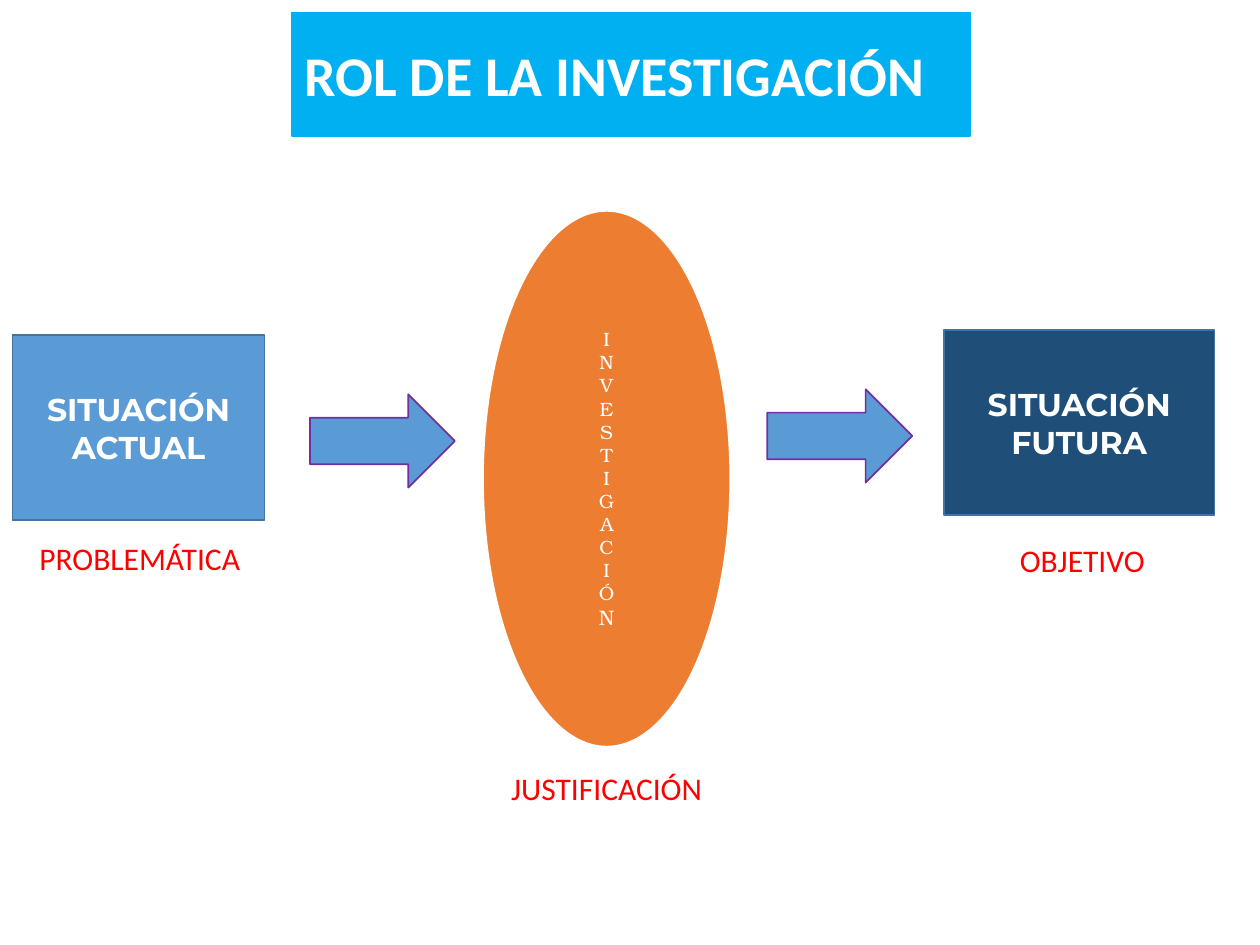
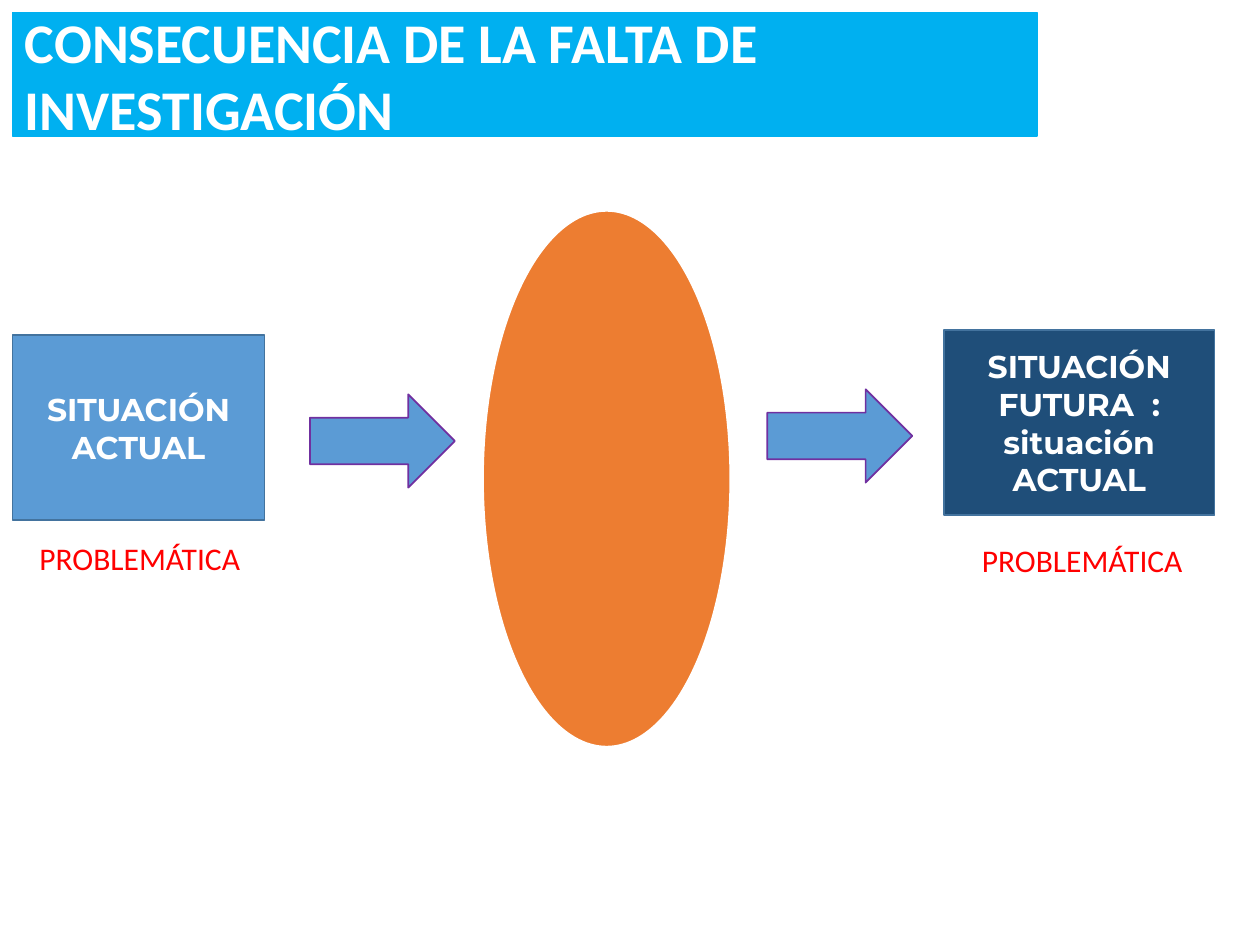
"""Build two slides on the role of research and the cost of its absence."""
from pptx import Presentation
from pptx.dml.color import RGBColor
from pptx.enum.shapes import MSO_SHAPE
from pptx.enum.text import MSO_ANCHOR, PP_ALIGN
from pptx.util import Inches, Pt

HUES = {
    "white": "FFFFFF", "band": "00B0F0", "now": "5B9BD5", "next": "1F4E79",
    "edge": "43739E", "oval": "ED7D31", "arrow": "7030A0", "label": "FF0000",
}

SLIDES = [
    {
        "title": ("ROL DE LA INVESTIGACIÓN", 2.32, 5.38),
        "oval": [("INVESTIGACIÓ", 11), ("N", 12)],
        "future": "SITUACIÓN FUTURA",
        "labels": ["PROBLEMÁTICA", "OBJETIVO", "JUSTIFICACIÓN"],
    },
    {
        "title": ("CONSECUENCIA DE LA FALTA DE INVESTIGACIÓN", 0.1, 8.13),
        "oval": [],
        "future": "SITUACIÓN FUTURA  : situación ACTUAL",
        "labels": ["PROBLEMÁTICA", "PROBLEMÁTICA"],
    },
]

SPOTS = [(0.1, 4.23, 2.02), (7.53, 4.25, 2.12), (3.4, 6.06, 2.83)]
ARROWS = [(2.46, 3.13), (6.09, 3.09)]


def hue(name):
    return RGBColor.from_string(HUES[name])


def draw(slide, kind, place, fill, line, width=1):
    shape = slide.shapes.add_shape(kind, *map(Inches, place))
    shape.shadow.inherit = False
    shape.fill.solid()
    shape.fill.fore_color.rgb = hue(fill)
    shape.line.color.rgb = hue(line)
    shape.line.width = Pt(width)
    return shape


def write(shape, text, size=18, font="Calibri", color="white", bold=False,
          align=PP_ALIGN.CENTER):
    """Add text to the first paragraph; text is a string or (string, size) runs."""
    frame = shape.text_frame
    frame.word_wrap = True
    frame.vertical_anchor = MSO_ANCHOR.MIDDLE
    para = frame.paragraphs[0]
    para.alignment = align
    for part, points in [(text, size)] if isinstance(text, str) else text:
        run = para.add_run()
        run.text = part
        run.font.size = Pt(points)
        run.font.name = font
        run.font.bold = bold
        run.font.color.rgb = hue(color)


def build(slide, data):
    title, left, width = data["title"]
    band = draw(slide, MSO_SHAPE.RECTANGLE, (left, 0.1, width, 0.98), "band", "band")
    write(band, title, size=32, bold=True, align=PP_ALIGN.LEFT)

    oval = draw(slide, MSO_SHAPE.OVAL, (3.83, 1.67, 1.97, 4.26), "oval", "white", 1.5)
    if data["oval"]:
        write(oval, data["oval"], font="TeX Gyre Bonum")
        oval.element.txBody.bodyPr.set("vert", "wordArtVert")

    boxes = [
        ("SITUACIÓN ACTUAL", (0.1, 2.66, 2, 1.47), "now"),
        (data["future"], (7.49, 2.62, 2.15, 1.47), "next"),
    ]
    for text, place, fill in boxes:
        box = draw(slide, MSO_SHAPE.RECTANGLE, place, fill, "edge")
        write(box, text, font="Montserrat", bold=True)

    for text, spot in zip(data["labels"], SPOTS):
        label = draw(slide, MSO_SHAPE.ROUNDED_RECTANGLE, (*spot, 0.39), "white", "white")
        write(label, text, color="label")

    for spot in ARROWS:
        draw(slide, MSO_SHAPE.RIGHT_ARROW, (*spot, 1.15, 0.74), "now", "arrow")


def main():
    deck = Presentation()
    deck.slide_width, deck.slide_height = Inches(10), Inches(7.5)
    for data in SLIDES:
        build(deck.slides.add_slide(deck.slide_layouts[6]), data)
    deck.save("out.pptx")


if __name__ == "__main__":
    main()
